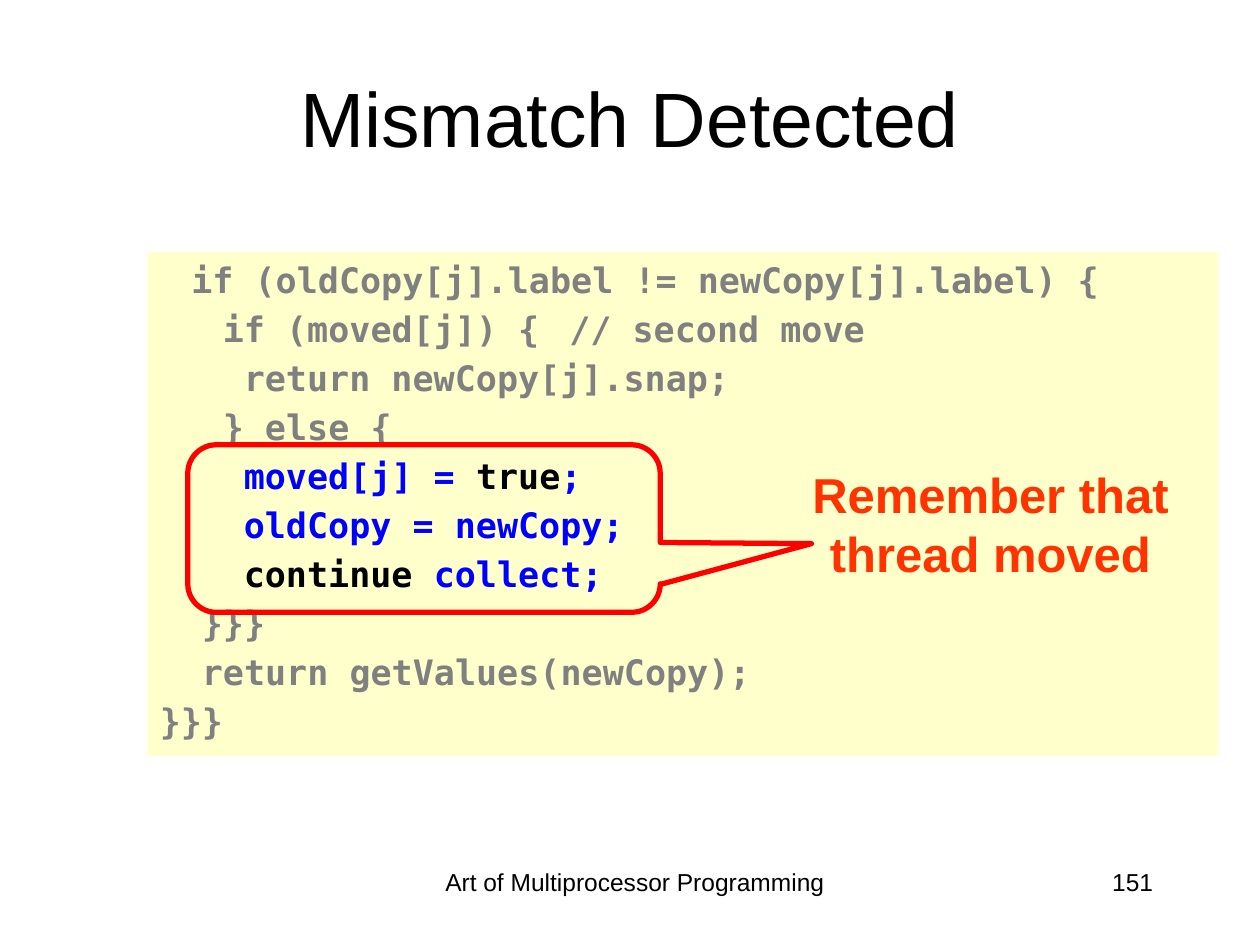
from typing import NamedTuple

from lxml import etree
from pptx import Presentation
from pptx.dml.color import RGBColor
from pptx.enum.shapes import MSO_SHAPE
from pptx.enum.text import MSO_ANCHOR, PP_ALIGN
from pptx.oxml.ns import qn
from pptx.util import Inches, Pt

RECTANGLE = MSO_SHAPE.RECTANGLE
CALLOUT = MSO_SHAPE.ROUNDED_RECTANGULAR_CALLOUT
LEFT, CENTER, RIGHT = PP_ALIGN.LEFT, PP_ALIGN.CENTER, PP_ALIGN.RIGHT
TOP, MIDDLE = MSO_ANCHOR.TOP, MSO_ANCHOR.MIDDLE
SANS, MONO = "Arial", "DejaVu Sans Mono"
BLACK, GRAY, BLUE = "000000", "808080", "0000FF"
CODE_SIZE = 20
CHAR_WIDTH = 0.6 * CODE_SIZE
CODE_MARGIN = 18


class Box(NamedTuple):
    left: float
    top: float
    width: float
    height: float


class Label(NamedTuple):
    text: str
    box: Box
    size: int
    align: PP_ALIGN = CENTER
    anchor: MSO_ANCHOR = TOP
    color: str = BLACK
    bold: bool = False


class CodeLine(NamedTuple):
    columns: float
    tokens: tuple[tuple[str, str], ...]


LABELS = (
    Label("151", Box(71.7, 91.07, 20.8, 6.67), 14, RIGHT),
    Label("Mismatch Detected", Box(5, 4, 90, 16.67), 44, anchor=MIDDLE),
    Label("Remember that thread moved", Box(57.2, 48.53, 42.8, 13.73), 28,
          color="FF3300", bold=True),
    Label("Art of Multiprocessor Programming", Box(33.3, 91.07, 34.2, 6.93), 14),
)

CODE = (
    CodeLine(1.5, (("if (oldCopy[j].label != newCopy[j].label) {", GRAY),)),
    CodeLine(3, (("if (moved[j]) {\t// second move", GRAY),)),
    CodeLine(4, (("return newCopy[j].snap;", GRAY),)),
    CodeLine(3, (("} else {", GRAY),)),
    CodeLine(4, (("moved[j] = ", BLUE), ("true", BLACK), (";", BLUE))),
    CodeLine(4, (("oldCopy = newCopy;", BLUE),)),
    CodeLine(4, (("continue", BLACK), (" collect;", BLUE))),
    CodeLine(2, (("}}}", GRAY),)),
    CodeLine(2, (("return getValues(newCopy);", GRAY),)),
    CodeLine(0, (("}}}", GRAY),)),
)

deck = Presentation()
deck.slide_width, deck.slide_height = Inches(10), Inches(7.5)
slide = deck.slides.add_slide(deck.slide_layouts[6])


def rgb(value: str) -> RGBColor:
    return RGBColor.from_string(value)


def place(box: Box) -> tuple[int, ...]:
    sides = (deck.slide_width, deck.slide_height) * 2
    return tuple(round(side * share / 100) for side, share in zip(sides, box))


def style(font, name: str, size: int, color: str, bold: bool) -> None:
    font.name, font.size, font.bold = name, Pt(size), bold
    font.color.rgb = rgb(color)


def add_label(label: Label) -> None:
    frame = slide.shapes.add_textbox(*place(label.box)).text_frame
    frame.word_wrap = True
    frame.vertical_anchor = label.anchor
    frame.text = label.text
    paragraph = frame.paragraphs[0]
    paragraph.alignment = label.align
    style(paragraph.runs[0].font, SANS, label.size, label.color, label.bold)


def write_line(paragraph, line: CodeLine) -> None:
    paragraph.alignment = LEFT
    properties = paragraph._p.get_or_add_pPr()
    properties.set("marL", str(Pt(CODE_MARGIN)))
    properties.set("indent", str(Pt(line.columns * CHAR_WIDTH - CODE_MARGIN)))
    before = etree.SubElement(properties, qn("a:spcBef"))
    etree.SubElement(before, qn("a:spcPct")).set("val", "20000")
    for text, color in line.tokens:
        run = paragraph.add_run()
        run.text = text
        style(run.font, MONO, CODE_SIZE, color, True)


def add_code(box: Box) -> None:
    panel = slide.shapes.add_shape(RECTANGLE, *place(box))
    panel.shadow.inherit = False
    panel.fill.solid()
    panel.fill.fore_color.rgb = rgb("FFFFCC")
    panel.line.fill.background()
    frame = panel.text_frame
    frame.word_wrap = True
    frame.vertical_anchor = TOP
    for index, line in enumerate(CODE):
        write_line(frame.add_paragraph() if index else frame.paragraphs[0], line)


def add_callout(box: Box) -> None:
    callout = slide.shapes.add_shape(CALLOUT, *place(box))
    callout.shadow.inherit = False
    callout.fill.background()
    callout.line.color.rgb = rgb("FF0000")
    callout.line.width = Pt(3)
    for index, value in enumerate((0.82, 0.09, 0.17)):
        callout.adjustments[index] = value


add_code(Box(11.7, 26.67, 85, 53.33))
add_callout(Box(14.9, 47.07, 37.5, 17.73))
for label in LABELS:
    add_label(label)

deck.save("out.pptx")
